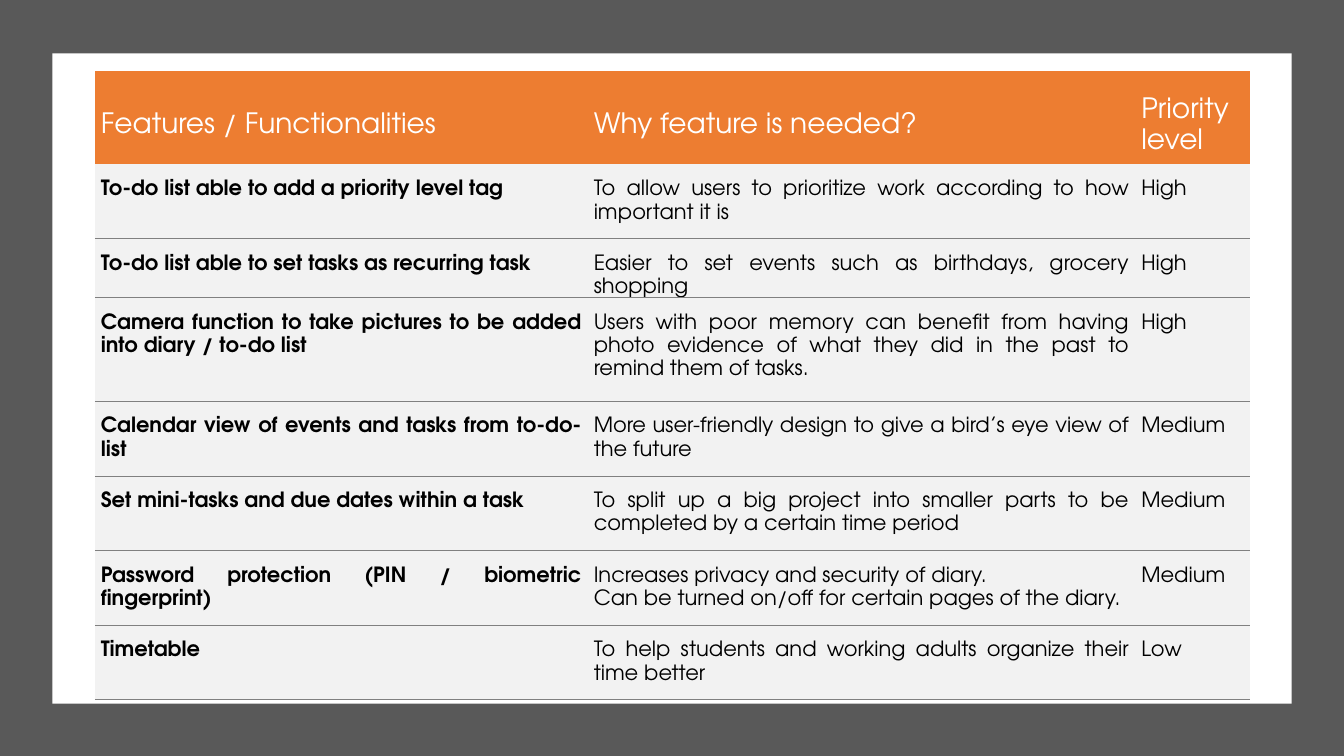
from dataclasses import dataclass

import pptx
import pptx.dml.color
import pptx.enum.shapes
import pptx.enum.text
import pptx.oxml
import pptx.oxml.ns
import pptx.util

FONT = "TeX Gyre Adventor"
COLORS = {
    "frame": "595959",
    "panel": "FFFFFF",
    "header": "ED7D31",
    "header_text": "FFFFFF",
    "body": "F2F2F2",
    "body_text": "000000",
    "rule": "808080",
}
SLIDE_WIDTH = pptx.util.Inches(13.33)
SLIDE_HEIGHT = pptx.util.Inches(7.5)
NO_GRID_STYLE = "{2D5ABB26-0587-4C30-8999-92F81FD0307C}"
LINE_SPACING = 1.2

# Shares of the slide, in percent
TABLE_LEFT, TABLE_TOP = 7.05, 9.33
COLUMN_WIDTHS = (36.68, 40.74, 8.55)
HEADER_HEIGHT = 12.4
ROW_HEIGHT = 9.87


@dataclass(frozen=True)
class Panel:
    left: float
    top: float
    width: float
    height: float
    color: str


@dataclass(frozen=True)
class Feature:
    name: str
    reason: str
    priority: str
    height: float = ROW_HEIGHT


@dataclass(frozen=True)
class CellStyle:
    fill: str
    color: str
    size: int
    anchor: pptx.enum.text.MSO_ANCHOR
    bold: bool = False


PANELS = (
    Panel(0, 0, 100, 100, "frame"),
    Panel(3.9, 7.07, 92.2, 86, "panel"),
)
HEADINGS = Feature(
    "Features / Functionalities", "Why feature is needed?", "Priority level ", HEADER_HEIGHT
)
FEATURES = (
    Feature("To-do list able to add a priority level tag",
            "To allow users to prioritize work according to how important it is",
            "High\n\N{NO-BREAK SPACE}"),
    Feature("To-do list able to set tasks as recurring task",
            "Easier to set events such as birthdays, grocery shopping", "High", 5.87),
    Feature("Camera function to take pictures to be added into diary / to-do list",
            "Users with poor memory can benefit from having photo evidence of what "
            "they did in the past to remind them of tasks.", "High", 13.73),
    Feature("Calendar view of events and tasks from to-do-list",
            "More user-friendly design to give a bird’s eye view of the future", "Medium"),
    Feature("Set mini-tasks and due dates within a task",
            "To split up a big project into smaller parts to be completed by a certain "
            "time period", "Medium"),
    Feature("Password protection (PIN / biometric fingerprint)",
            "Increases privacy and security of diary.\n"
            "Can be turned on/off for certain pages of the diary.", "Medium"),
    Feature("Timetable",
            "To help students and working adults organize their time better", "Low"),
)
HEADER_STYLE = CellStyle("header", "header_text", 20, pptx.enum.text.MSO_ANCHOR.MIDDLE)
NAME_STYLE = CellStyle("body", "body_text", 15, pptx.enum.text.MSO_ANCHOR.TOP, bold=True)
DETAIL_STYLE = CellStyle("body", "body_text", 15, pptx.enum.text.MSO_ANCHOR.TOP)


def across(percent: float) -> int:
    return round(SLIDE_WIDTH * percent / 100)


def down(percent: float) -> int:
    return round(SLIDE_HEIGHT * percent / 100)


def color(name: str) -> pptx.dml.color.RGBColor:
    return pptx.dml.color.RGBColor.from_string(COLORS[name])


def add_panel(slide: pptx.slide.Slide, panel: Panel) -> None:
    shape = slide.shapes.add_shape(
        pptx.enum.shapes.MSO_SHAPE.RECTANGLE,
        across(panel.left), down(panel.top), across(panel.width), down(panel.height),
    )
    shape.shadow.inherit = False
    shape.fill.solid()
    shape.fill.fore_color.rgb = color(panel.color)
    shape.line.fill.background()


def add_bottom_rule(cell: pptx.table._Cell) -> None:
    rule = pptx.oxml.parse_xml(
        f'<a:lnB {pptx.oxml.ns.nsdecls("a")} w="{pptx.util.Pt(0.75)}">'
        f'<a:solidFill><a:srgbClr val="{COLORS["rule"]}"/></a:solidFill></a:lnB>'
    )
    cell._tc.get_or_add_tcPr().insert(0, rule)


def fill_cell(cell: pptx.table._Cell, text: str, style: CellStyle) -> None:
    cell.fill.solid()
    cell.fill.fore_color.rgb = color(style.fill)
    cell.margin_left = cell.margin_right = pptx.util.Inches(0.06)
    cell.margin_top = pptx.util.Inches(0.12)
    cell.margin_bottom = 0
    cell.vertical_anchor = style.anchor
    cell.text_frame.text = text
    for paragraph in cell.text_frame.paragraphs:
        paragraph.alignment = pptx.enum.text.PP_ALIGN.JUSTIFY
        paragraph.line_spacing = LINE_SPACING
        for run in paragraph.runs:
            run.font.name = FONT
            run.font.size = pptx.util.Pt(style.size)
            run.font.bold = style.bold
            run.font.color.rgb = color(style.color)


def add_feature_table(slide: pptx.slide.Slide) -> None:
    rows = (HEADINGS, *FEATURES)
    table = slide.shapes.add_table(
        len(rows), len(COLUMN_WIDTHS), across(TABLE_LEFT), down(TABLE_TOP),
        across(sum(COLUMN_WIDTHS)), down(sum(row.height for row in rows)),
    ).table
    table.horz_banding = False
    properties = table._tbl.tblPr
    properties.find(pptx.oxml.ns.qn("a:tableStyleId")).text = NO_GRID_STYLE

    for column, width in zip(table.columns, COLUMN_WIDTHS):
        column.width = across(width)
    for row_index, feature in enumerate(rows):
        table.rows[row_index].height = down(feature.height)
        texts = (feature.name, feature.reason, feature.priority)
        for column_index, text in enumerate(texts):
            cell = table.cell(row_index, column_index)
            if row_index == 0:
                fill_cell(cell, text, HEADER_STYLE)
            else:
                fill_cell(cell, text, DETAIL_STYLE if column_index else NAME_STYLE)
                add_bottom_rule(cell)


def main() -> None:
    presentation = pptx.Presentation()
    presentation.slide_width = SLIDE_WIDTH
    presentation.slide_height = SLIDE_HEIGHT
    slide = presentation.slides.add_slide(presentation.slide_layouts[6])
    for panel in PANELS:
        add_panel(slide, panel)
    add_feature_table(slide)
    presentation.save("out.pptx")


if __name__ == "__main__":
    main()
